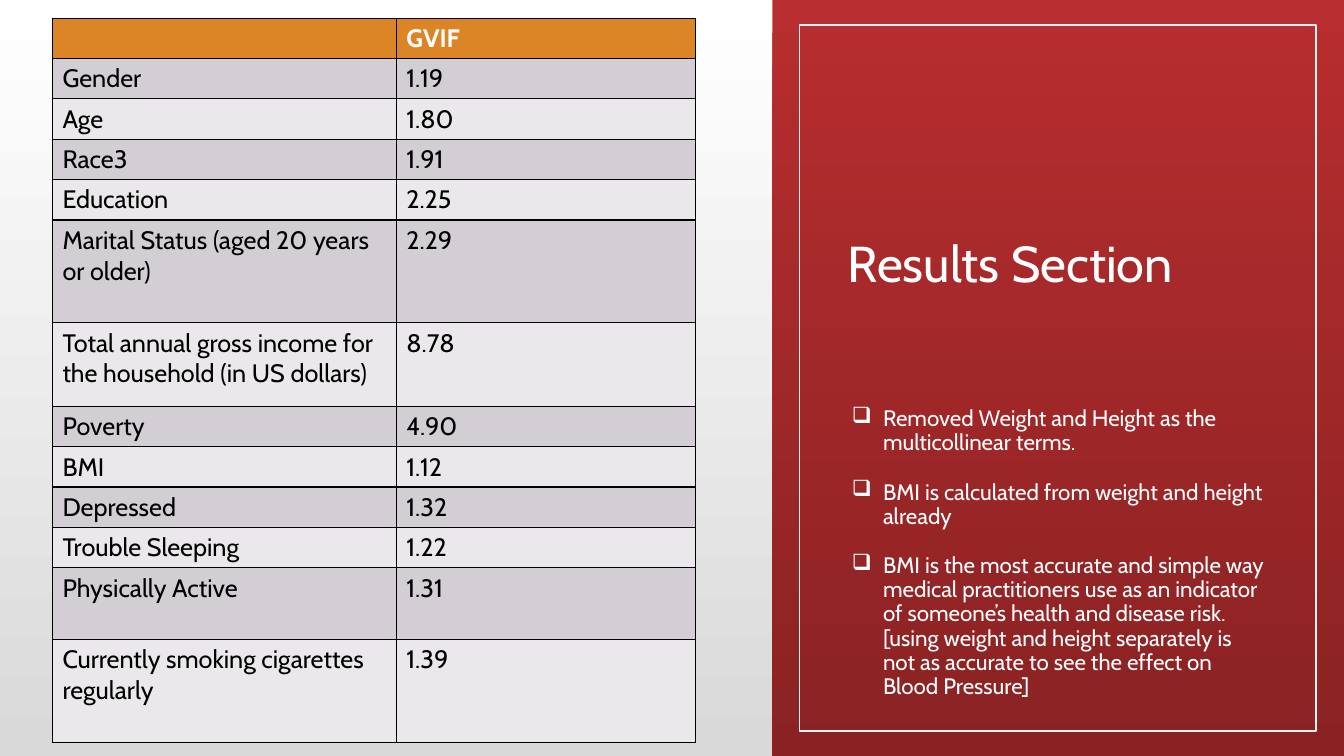
from lxml import etree
from pptx import Presentation
from pptx import util as u
from pptx.dml.color import RGBColor
from pptx.enum import shapes, text
from pptx.oxml import parse_xml
from pptx.oxml.ns import nsdecls, qn

FONT = "Cabin"
WHITE, BLACK = "FFFFFF", "000000"
HEADER, DARK_BAND, LIGHT_BAND = "DB8526", "D2CED3", "EAE8EA"
LINE_ROW = 0.4
ROWS = [
    ("", "GVIF", LINE_ROW),
    ("Gender", "1.19", LINE_ROW),
    ("Age", "1.80", LINE_ROW),
    ("Race3", "1.91", LINE_ROW),
    ("Education", "2.25", LINE_ROW),
    ("Marital Status (aged 20 years or older)", "2.29", 1.02),
    ("Total annual gross income for the household (in US dollars)", "8.78", 0.83),
    ("Poverty", "4.90", LINE_ROW),
    ("BMI", "1.12", LINE_ROW),
    ("Depressed", "1.32", LINE_ROW),
    ("Trouble Sleeping", "1.22", LINE_ROW),
    ("Physically Active", "1.31", 0.71),
    ("Currently smoking cigarettes regularly", "1.39", 1.02),
]
FINDINGS = [
    "Removed Weight and Height as the multicollinear terms.",
    "BMI is calculated from weight and height already",
    "BMI is the most accurate and simple way medical practitioners use as an "
    "indicator of someone’s health and disease risk. [using weight and height "
    "separately is not as accurate to see the effect on Blood Pressure]",
]


def paint(color_format, value):
    color_format.rgb = RGBColor.from_string(value)


def style(para, size, color, bold=False):
    para.font.name = FONT
    para.font.size = u.Pt(size)
    para.font.bold = bold
    paint(para.font.color, color)


deck = Presentation()
deck.slide_width, deck.slide_height = u.Inches(13.33), u.Inches(7.5)
page = deck.slides.add_slide(deck.slide_layouts[6])

panel = page.shapes.add_shape(
    shapes.MSO_SHAPE.RECTANGLE, u.Inches(7.66), 0, u.Inches(5.67), deck.slide_height)
panel.shadow.inherit = False
panel.line.fill.background()

for fill, colors, angle in (
    (page.background.fill, ("D9D9D9", WHITE), 90),
    (panel.fill, ("B82D2F", "8A2223"), 270),
):
    fill.gradient()
    fill.gradient_angle = angle
    for stop, color in zip(fill.gradient_stops, colors):
        paint(stop.color, color)

frame = page.shapes.add_shape(
    shapes.MSO_SHAPE.RECTANGLE, u.Inches(7.93), u.Inches(0.25), u.Inches(5.12), u.Inches(7))
frame.shadow.inherit = False
frame.fill.background()
frame.line.width = u.Pt(1.25)
paint(frame.line.color, "F2F2F2")

title = page.shapes.add_textbox(
    u.Inches(8.31), u.Inches(1.04), u.Inches(4.3), u.Inches(1.92)).text_frame
title.word_wrap = True
title.vertical_anchor = text.MSO_ANCHOR.BOTTOM
title.text = "Results Section"
title.paragraphs[0].line_spacing = 0.9
style(title.paragraphs[0], 36, WHITE)

body = page.shapes.add_textbox(
    u.Inches(8.35), u.Inches(3.99), u.Inches(4.3), u.Inches(3.01)).text_frame
body.word_wrap = True
body.text = "\n".join(FINDINGS)
for para in body.paragraphs:
    style(para, 16, WHITE)
    para.line_spacing = 0.9
    para.space_before = u.Pt(18)
    props = para._p.get_or_add_pPr()
    props.set("marL", str(u.Inches(0.31)))
    props.set("indent", str(-u.Inches(0.31)))
    bullet = parse_xml(f'<a:buChar {nsdecls("a")} char="❑"/>')
    props.find(qn("a:defRPr")).addprevious(bullet)

table = page.shapes.add_table(
    len(ROWS), 2, u.Inches(0.52), u.Inches(0.18), u.Inches(6.38),
    u.Inches(sum(height for *_, height in ROWS))).table
table.horz_banding = False
for column, width in zip(table.columns, (3.41, 2.97)):
    column.width = u.Inches(width)

for index, (label, value, height) in enumerate(ROWS):
    table.rows[index].height = u.Inches(height)
    band = HEADER if index == 0 else DARK_BAND if index % 2 else LIGHT_BAND
    for cell, words in zip(table.rows[index].cells, (label, value)):
        cell.text = words
        style(cell.text_frame.paragraphs[0], 18, BLACK if index else WHITE, index == 0)
        cell.fill.solid()
        paint(cell.fill.fore_color, band)
        cell_props = cell._tc.get_or_add_tcPr()
        for place, side in enumerate(("lnL", "lnR", "lnT", "lnB")):
            border = etree.Element(qn(f"a:{side}"), w=str(u.Pt(1)))
            solid = etree.SubElement(border, qn("a:solidFill"))
            etree.SubElement(solid, qn("a:srgbClr"), val=BLACK)
            cell_props.insert(place, border)

deck.save("out.pptx")
